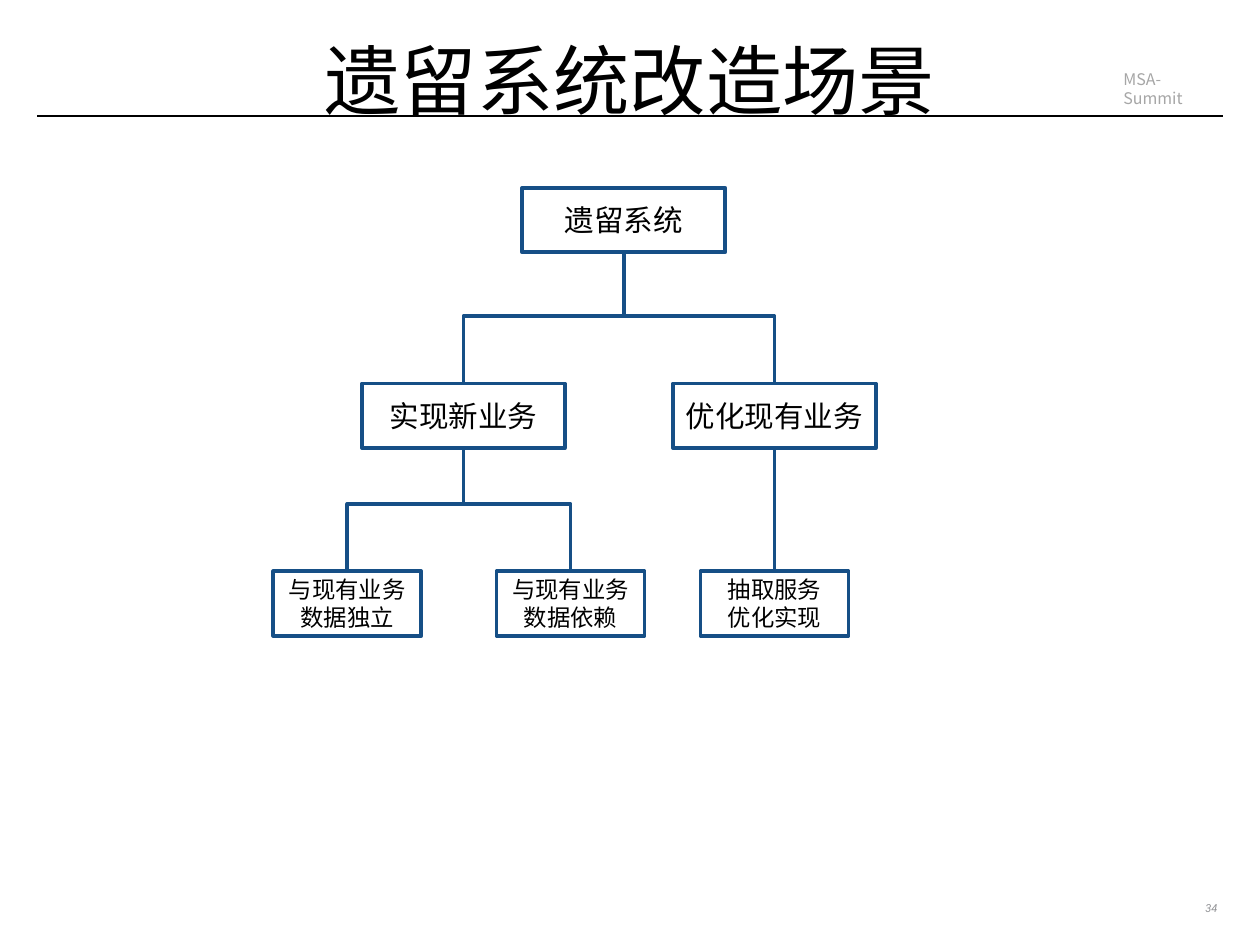
from lxml import etree
from pptx import Presentation
from pptx.dml.color import RGBColor
from pptx.enum.shapes import MSO_CONNECTOR, MSO_SHAPE
from pptx.enum.text import MSO_ANCHOR, PP_ALIGN
from pptx.oxml.ns import qn
from pptx.util import Inches, Pt

STRAIGHT, RECTANGLE = MSO_CONNECTOR.STRAIGHT, MSO_SHAPE.RECTANGLE
TOP, MIDDLE = MSO_ANCHOR.TOP, MSO_ANCHOR.MIDDLE
LEFT, CENTER, RIGHT = PP_ALIGN.LEFT, PP_ALIGN.CENTER, PP_ALIGN.RIGHT

TITLE = "遗留系统改造场景"
EVENT = "MSA-Summit"
PAGE_NUMBER = "34"
# name: (level, centre x, lines of text, parent)
NODES = {
    "legacy": (0, 7.04, ["遗留系统"], None),
    "new": (1, 5.23, ["实现新业务"], "legacy"),
    "improve": (1, 8.74, ["优化现有业务"], "legacy"),
    "independent": (2, 3.92, ["与现有业务", "数据独立"], "new"),
    "dependent": (2, 6.44, ["与现有业务", "数据依赖"], "new"),
    "extract": (2, 8.74, ["抽取服务", "优化实现"], "improve"),
}
# top, box width, text size of each level
LEVELS = [(2.12, 2.29, 24), (4.33, 2.29, 24), (6.45, 1.67, 19)]
NODE_HEIGHT = 0.73
BAR_RISE = 0.76  # from a child's top up to the horizontal bar
COLORS = {"ink": "000000", "paper": "FFFFFF", "navy": "164F86",
          "event": "A6A6A6", "number": "929396"}
WIDTH, HEIGHT = 14.22, 10.67
MARGIN = 0.42
RULE_Y = 1.31


def color(name):
    return RGBColor.from_string(COLORS[name])


def write(shape, lines, size, font="Calibri", ink="ink", align=CENTER,
          anchor=TOP, inset=0.07, wrap=False, italic=False):
    frame = shape.text_frame
    frame.word_wrap = wrap
    frame.vertical_anchor = anchor
    frame.margin_left = frame.margin_right = Inches(inset)
    frame.margin_top = frame.margin_bottom = Inches(inset)
    for index, line in enumerate(lines):
        para = frame.paragraphs[0] if index == 0 else frame.add_paragraph()
        para.alignment = align
        span = para.add_run()
        span.text = line
        span.font.name, span.font.size = font, Pt(size)
        span.font.italic = italic
        span.font.color.rgb = color(ink)


def add_label(page, place, text, size, **style):
    box = page.shapes.add_textbox(*map(Inches, place))
    write(box, [text], size, **style)


def outline(shape, ink="navy", width=3):
    shape.line.color.rgb = color(ink)
    shape.line.width = Pt(width)


def add_line(page, start, end, **style):
    line = page.shapes.add_connector(STRAIGHT, *map(Inches, start + end))
    etree.SubElement(line._element.spPr, qn("a:effectLst"))
    outline(line, **style)


def add_branch(page, parent, child):
    """Join a parent's bottom to a child's top, with a bend if they are not aligned."""
    parent_level, parent_x = NODES[parent][:2]
    child_level, child_x = NODES[child][:2]
    start_y = LEVELS[parent_level][0] + NODE_HEIGHT
    end_y = LEVELS[child_level][0]
    if parent_x == child_x:
        add_line(page, (parent_x, start_y), (child_x, end_y))
        return
    bar_y = end_y - BAR_RISE
    corners = [(parent_x, bar_y), (child_x, bar_y), (child_x, end_y)]
    builder = page.shapes.build_freeform(Inches(parent_x), Inches(start_y))
    builder.add_line_segments([(Inches(x), Inches(y)) for x, y in corners], close=False)
    branch = builder.convert_to_shape()
    branch.shadow.inherit = False
    branch.fill.background()
    outline(branch)


def add_node(page, level, center_x, lines):
    top, width, size = LEVELS[level]
    place = (center_x - width / 2, top, width, NODE_HEIGHT)
    node = page.shapes.add_shape(RECTANGLE, *map(Inches, place))
    node.shadow.inherit = False
    node.fill.solid()
    node.fill.fore_color.rgb = color("paper")
    outline(node)
    write(node, lines, size, anchor=MIDDLE, wrap=True)


def main():
    deck = Presentation()
    deck.slide_width, deck.slide_height = Inches(WIDTH), Inches(HEIGHT)
    page = deck.slides.add_slide(deck.slide_layouts[6])

    right = WIDTH - MARGIN
    add_line(page, (MARGIN, RULE_Y), (right, RULE_Y), ink="ink", width=1)
    add_label(page, (right - 1.17, 0.73, 1.17, 0.32), EVENT, 13, font="Noto Sans CJK SC",
              ink="event", align=LEFT, inset=0.05, wrap=True)
    for name, (level, center_x, lines, parent) in NODES.items():
        if parent:
            add_branch(page, parent, name)
    for level, center_x, lines, parent in NODES.values():
        add_node(page, level, center_x, lines)
    add_label(page, (right - 0.29, 10.12, 0.29, 0.32), PAGE_NUMBER, 9, font="Roboto",
              ink="number", align=RIGHT, inset=0.06, italic=True)
    add_label(page, (WIDTH / 2 - 3.52, 0.31, 7.04, 1.01), TITLE, 62)
    deck.save("out.pptx")


if __name__ == "__main__":
    main()
